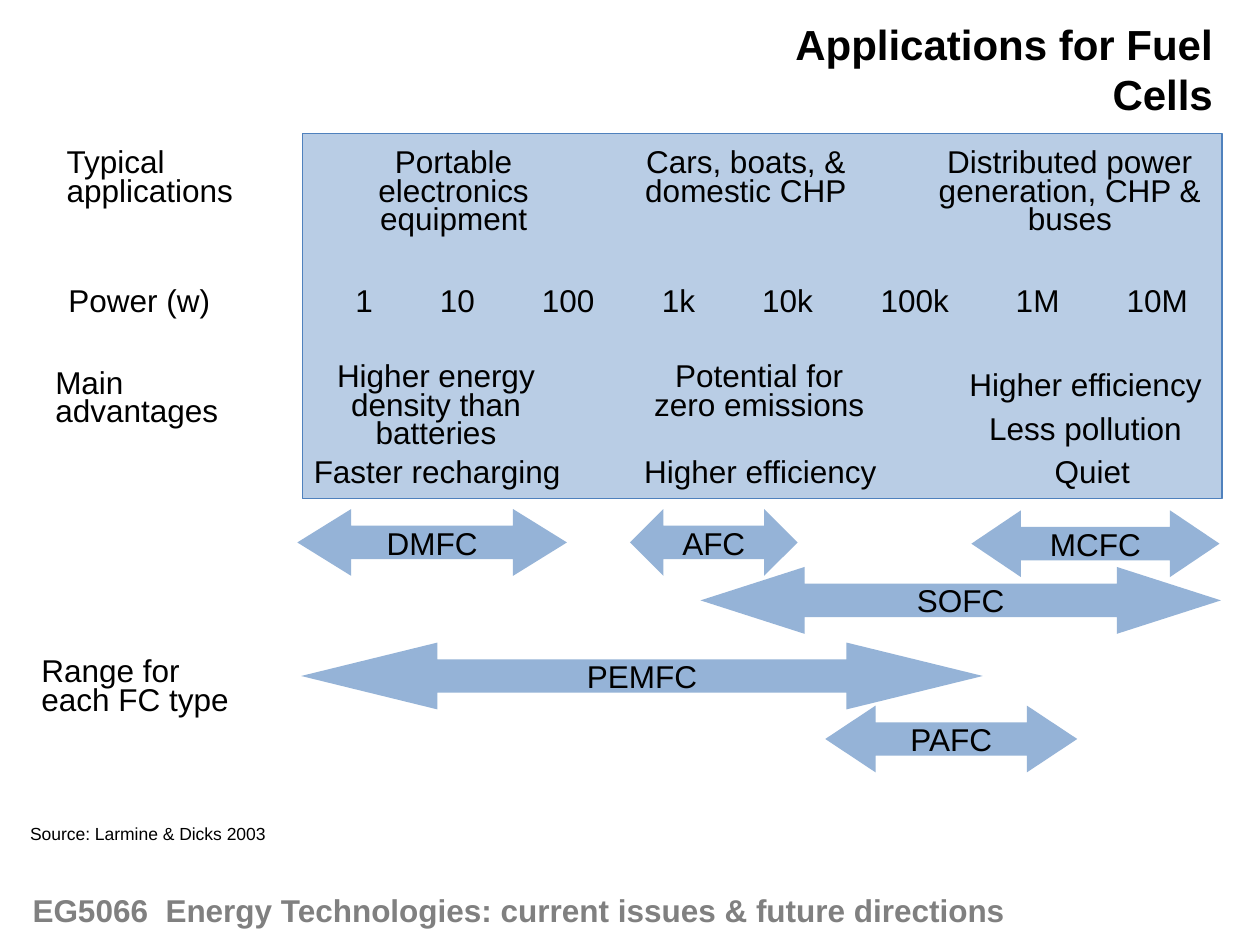
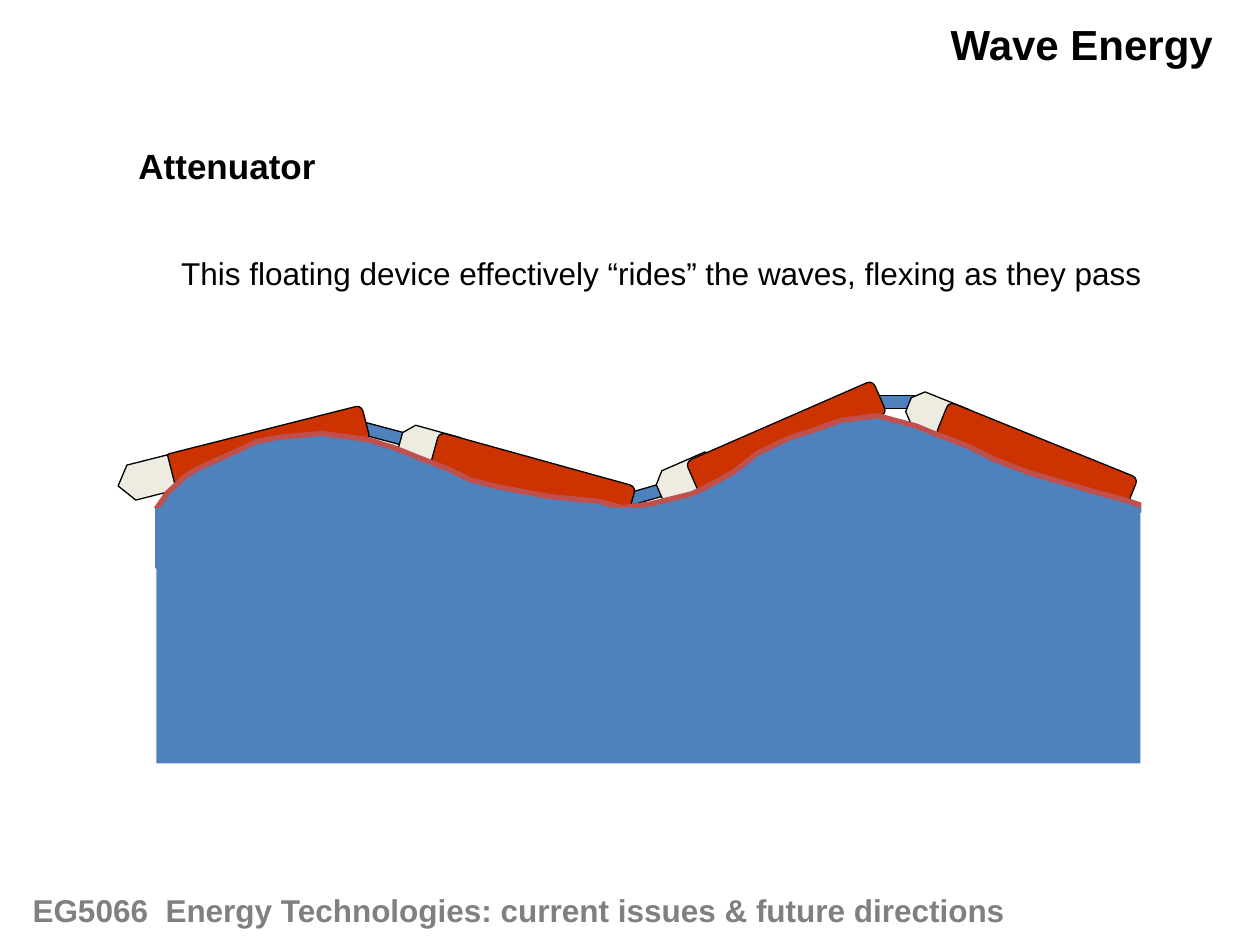
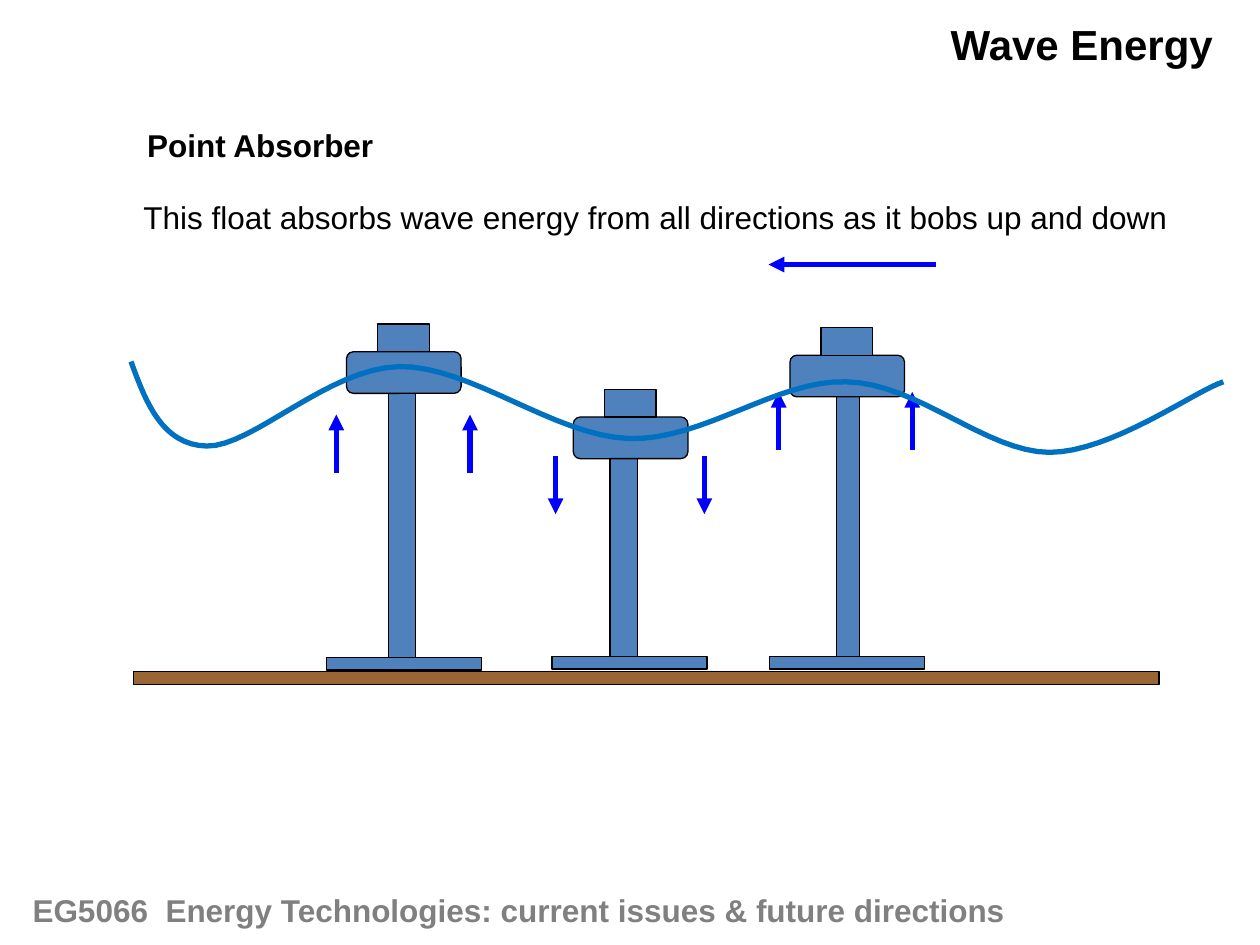
from dataclasses import dataclass

from pptx import Presentation
from pptx.dml.color import RGBColor as Rgb
from pptx.enum.shapes import MSO_CONNECTOR as Connector, MSO_SHAPE as Preset
from pptx.enum.text import MSO_ANCHOR as Anchor, MSO_AUTO_SIZE as AutoSize, PP_ALIGN as Align
from pptx.oxml.ns import qn
from pptx.util import Pt
from lxml.etree import SubElement


@dataclass(frozen=True)
class Theme:
    font: str = "Arial"
    black: Rgb = Rgb.from_string("000000")
    white: Rgb = Rgb.from_string("FFFFFF")
    grey: Rgb = Rgb.from_string("808080")
    blue: Rgb = Rgb.from_string("4F81BD")
    pale_blue: Rgb = Rgb.from_string("B9CDE5")
    mid_blue: Rgb = Rgb.from_string("95B3D7")
    arrow_blue: Rgb = Rgb.from_string("0000FF")
    swell_blue: Rgb = Rgb.from_string("0070C0")
    foam: Rgb = Rgb.from_string("C0504D")
    hull: Rgb = Rgb.from_string("CC3300")
    nose: Rgb = Rgb.from_string("EEECE1")
    seabed: Rgb = Rgb.from_string("996633")
    title: int = 24
    heading: int = 20
    body: int = 18
    source: int = 10
    thin: float = 0.75
    thick: float = 3


theme = Theme()


def write_text(page, text, left, top, width, lines=1, size=theme.body,
               align=Align.LEFT, bold=False, color=theme.black):
    spacing = 1 if lines == 1 else 0.75
    height = 7.2 + lines * size * 1.2 * spacing
    box = page.shapes.add_textbox(Pt(left), Pt(top), Pt(width), Pt(height))
    frame = box.text_frame
    frame.word_wrap = lines > 1
    frame.auto_size = AutoSize.SHAPE_TO_FIT_TEXT
    para = frame.paragraphs[0]
    para.text = text
    para.alignment = align
    para.line_spacing = spacing
    para.font.name = theme.font
    para.font.size = Pt(size)
    para.font.bold = bold
    para.font.color.rgb = color
    return box


def draw_shape(page, preset, left, top, width, height, fill, line=None, rotation=0):
    shape = page.shapes.add_shape(preset, Pt(left), Pt(top), Pt(width), Pt(height))
    shape.shadow.inherit = False
    shape.rotation = rotation
    shape.fill.solid()
    shape.fill.fore_color.rgb = fill
    if line is None:
        shape.line.fill.background()
    else:
        shape.line.color.rgb = line
        shape.line.width = Pt(theme.thin)
    return shape


deck = Presentation()
deck.slide_width, deck.slide_height = Pt(720), Pt(540)

pages = []
for title, width in [("Applications for Fuel Cells", 316.8),
                     ("Wave Energy", 165.6),
                     ("Wave Energy", 165.6)]:
    page = deck.slides.add_slide(deck.slide_layouts[6])
    write_text(page, title, 700.2 - width, 7, width,
               size=theme.title, align=Align.RIGHT, bold=True)
    footer = write_text(page, "EG5066  Energy Technologies: current issues & future directions",
                        11.5, 505.4, 618.5, bold=True, color=theme.grey)
    footer.text_frame.word_wrap = True
    pages.append(page)
fuel_cells, attenuator, absorber = pages

draw_shape(fuel_cells, Preset.RECTANGLE, 172.8, 76.3, 525.6, 208.8,
           theme.pale_blue, theme.blue)

for label, left, top, width in [("Typical applications", 31, 82.8, 127.4),
                                ("Main advantages", 24.5, 208.8, 116.6),
                                ("Range for each FC type", 16.6, 373.7, 124.6)]:
    write_text(fuel_cells, label, left, top, width, lines=2)

for entry, left, top, width, lines in [
    ("Portable electronics equipment", 179.3, 82.8, 159.8, 3),
    ("Cars, boats, & domestic CHP", 349.9, 82.8, 152.6, 2),
    ("Distributed power generation, CHP & buses", 524.2, 82.8, 174.2, 3),
    ("Higher energy density than batteries", 183.6, 205.2, 131, 3),
    ("Faster recharging", 172.1, 254.9, 155.5, 1),
    ("Potential for zero emissions", 363.6, 205.2, 140.4, 2),
    ("Higher efficiency", 360.7, 254.9, 147.6, 1),
    ("Higher efficiency", 546.5, 205.2, 147.6, 1),
    ("Less pollution", 558, 230.4, 124.6, 1),
    ("Quiet", 595.4, 254.9, 57.6, 1),
]:
    write_text(fuel_cells, entry, left, top, width, lines, align=Align.CENTER)

for power, left, width in [("Power (w)", 31.7, 95.8), ("1", 195.8, 24.5), ("10", 244.1, 34.6),
                           ("100", 302.4, 44.6), ("1k", 370.8, 33.8), ("10k", 428.4, 43.2),
                           ("100k", 496.1, 53.3), ("1M", 573.1, 39.6), ("10M", 636.5, 49.7)]:
    write_text(fuel_cells, power, left, 157, width, align=Align.CENTER)

range_height = 38.2
for cell_type, left, top, width in [("AFC", 360, 290.9, 95.8), ("MCFC", 555.1, 291.6, 141.8),
                                    ("SOFC", 400.3, 324, 297.4), ("PAFC", 471.6, 403.2, 144),
                                    ("PEMFC", 172.1, 367.2, 389.5), ("DMFC", 169.9, 290.9, 154.1)]:
    arrow = draw_shape(fuel_cells, Preset.LEFT_RIGHT_ARROW, left, top, width, range_height,
                       theme.mid_blue)
    arrow.adjustments[0] = 0.5
    arrow.adjustments[1] = width / 5 / range_height
    arrow.text_frame.word_wrap = False
    arrow.text_frame.vertical_anchor = Anchor.MIDDLE
    para = arrow.text_frame.paragraphs[0]
    para.text = cell_type
    para.alignment = Align.CENTER
    para.font.name = theme.font
    para.font.size = Pt(theme.body)
    para.font.color.rgb = theme.black

write_text(fuel_cells, "Source: Larmine & Dicks 2003", 10.1, 466.6, 149, size=theme.source)

write_text(attenuator, "Attenuator", 72, 79.2, 115.9, size=theme.heading, bold=True)
write_text(attenuator, "This floating device effectively “rides” the waves, flexing as they pass",
           96.5, 141.8, 563.8)

for left, top, rotation in [(206.6, 244.1, 14.9), (358.6, 278.6, 343.9), (499, 226.1, 0)]:
    draw_shape(attenuator, Preset.RECTANGLE, left, top, 23.8, 7.2,
               theme.blue, theme.black, rotation)

hull = (Preset.ROUNDED_RECTANGLE, 116.6, 0.167, theme.hull)
joint = (Preset.OCTAGON, 38.9, 0.293, theme.nose)
bow = (Preset.PENTAGON, 31.7, 0.377, theme.nose)
for part, left, top, rotation in [
    (joint, 517.7, 228.2, 202), (hull, 534.2, 250.6, 22),
    (hull, 94.3, 245.5, 345.8), (bow, 67, 263.5, 165.8),
    (joint, 375.1, 262.8, 156.4), (hull, 391, 239.8, 336.4),
    (joint, 228.2, 246.2, 195.5), (hull, 246.2, 262.1, 15.5),
]:
    preset, width, adjustment, fill = part
    piece = draw_shape(attenuator, preset, left, top, width, 20.6, fill, theme.black, rotation)
    piece.adjustments[0] = adjustment

surface_points = [
    (89.3, 290.9), (95.8, 281.5), (103, 275), (105.8, 272.2), (113, 267.8), (135.4, 257.8),
    (146.2, 252.5), (158.7, 250), (183.6, 247.7), (211, 251.3), (219.6, 254.2), (224.6, 255.6),
    (239, 261.4), (255.6, 267.8), (268.8, 274.2), (283, 277.9), (313.2, 283.7), (342.7, 286.6),
    (355.7, 290.2), (371.2, 288.1), (386.6, 284.4), (395.3, 282.2), (403.2, 278.6), (419, 270),
    (432.7, 259.2), (452.2, 249.8), (461.5, 247), (481, 240.1), (501.8, 237.6), (523.4, 243.4),
    (532.1, 247), (543.6, 251.3), (554.4, 255.6), (568.8, 262.8), (587.5, 270), (627.1, 281.5),
    (645.8, 286.6), (660.2, 291.6), (663.1, 293), (658.8, 293),
]

swell_anchors = [
    (74.9, 206.6), (83.5, 230.4), (92.9, 254.2), (118.1, 254.9),
    (144, 255.6), (187.9, 210.2), (228.2, 209.5),
    (268.6, 208.8), (316.8, 249.1), (359.3, 250.6),
    (401.8, 252), (444.2, 216.7), (483.8, 218.2),
    (524.2, 218.9), (563.8, 258.5), (599.8, 258.5),
    (635, 258.5), (683.3, 223.2), (699.1, 218.2),
]
steps = 16
swell_points = [swell_anchors[0]]
for first in range(0, len(swell_anchors) - 1, 3):
    controls = swell_anchors[first:first + 4]
    for step in range(1, steps + 1):
        t = step / steps
        weights = ((1 - t) ** 3, 3 * t * (1 - t) ** 2, 3 * t ** 2 * (1 - t), t ** 3)
        swell_points.append(tuple(
            sum(weight * control[axis] for weight, control in zip(weights, controls))
            for axis in (0, 1)))

write_text(absorber, "Point Absorber", 77, 68.4, 144.7, bold=True)
write_text(absorber, "This float absorbs wave energy from all directions as it bobs up and down",
           74.9, 109.4, 599.8)

for body_left, body_top, stem_left, stem_width, base_left, base_top in [
    (198, 201, 221.8, 15.8, 186.5, 375.8),
    (327.6, 238.3, 348.5, 15.8, 315.4, 375.1),
    (451.4, 203, 478.1, 13, 439.9, 375.1),
]:
    stem_top = body_top + 23.8
    for preset, left, top, width, height in [
        (Preset.RECTANGLE, stem_left, stem_top, stem_width, base_top - stem_top),
        (Preset.ROUNDED_RECTANGLE, body_left, body_top, 65.5, 23.8),
        (Preset.RECTANGLE, body_left + 17.8, body_top - 15.8, 29.5, 15.8),
        (Preset.RECTANGLE, base_left, base_top, 88.6, 7.2),
    ]:
        draw_shape(absorber, preset, left, top, width, height, theme.blue, theme.black)

draw_shape(absorber, Preset.RECTANGLE, 76.3, 383.8, 586.1, 7.2, theme.seabed, theme.black)

for start_x, start_y, end_x, end_y in [
    (535, 151.2, 439.2, 151.2),
    (192.2, 270, 192.2, 236.9), (268.6, 270, 268.6, 236.9),
    (317.5, 260.6, 317.5, 293.8), (402.5, 260.6, 402.5, 293.8),
    (445, 257, 445, 223.9), (521.3, 257, 521.3, 223.9),
]:
    motion = absorber.shapes.add_connector(Connector.STRAIGHT, Pt(start_x), Pt(start_y),
                                           Pt(end_x), Pt(end_y))
    motion.line.color.rgb = theme.arrow_blue
    motion.line.width = Pt(theme.thick)
    properties = motion.element.spPr
    SubElement(properties.find(qn("a:ln")), qn("a:tailEnd"), type="triangle")
    SubElement(properties, qn("a:effectLst"))

for page, points, fill, line in [(attenuator, surface_points, theme.blue, theme.foam),
                                 (absorber, swell_points, None, theme.swell_blue)]:
    corners = [(Pt(x), Pt(y)) for x, y in points]
    builder = page.shapes.build_freeform(*corners[0])
    builder.add_line_segments(corners[1:], close=False)
    wave = builder.convert_to_shape()
    wave.shadow.inherit = False
    wave.line.color.rgb = line
    wave.line.width = Pt(theme.thick)
    if fill is None:
        wave.fill.background()
    else:
        wave.fill.solid()
        wave.fill.fore_color.rgb = fill

for left, top, width, height, fill in [(88.6, 290.2, 563, 34.6, theme.blue),
                                       (652.3, 283, 16.6, 23.8, theme.white),
                                       (89.3, 324.7, 562.3, 111.6, theme.blue)]:
    draw_shape(attenuator, Preset.RECTANGLE, left, top, width, height, fill)

deck.save("out.pptx")
